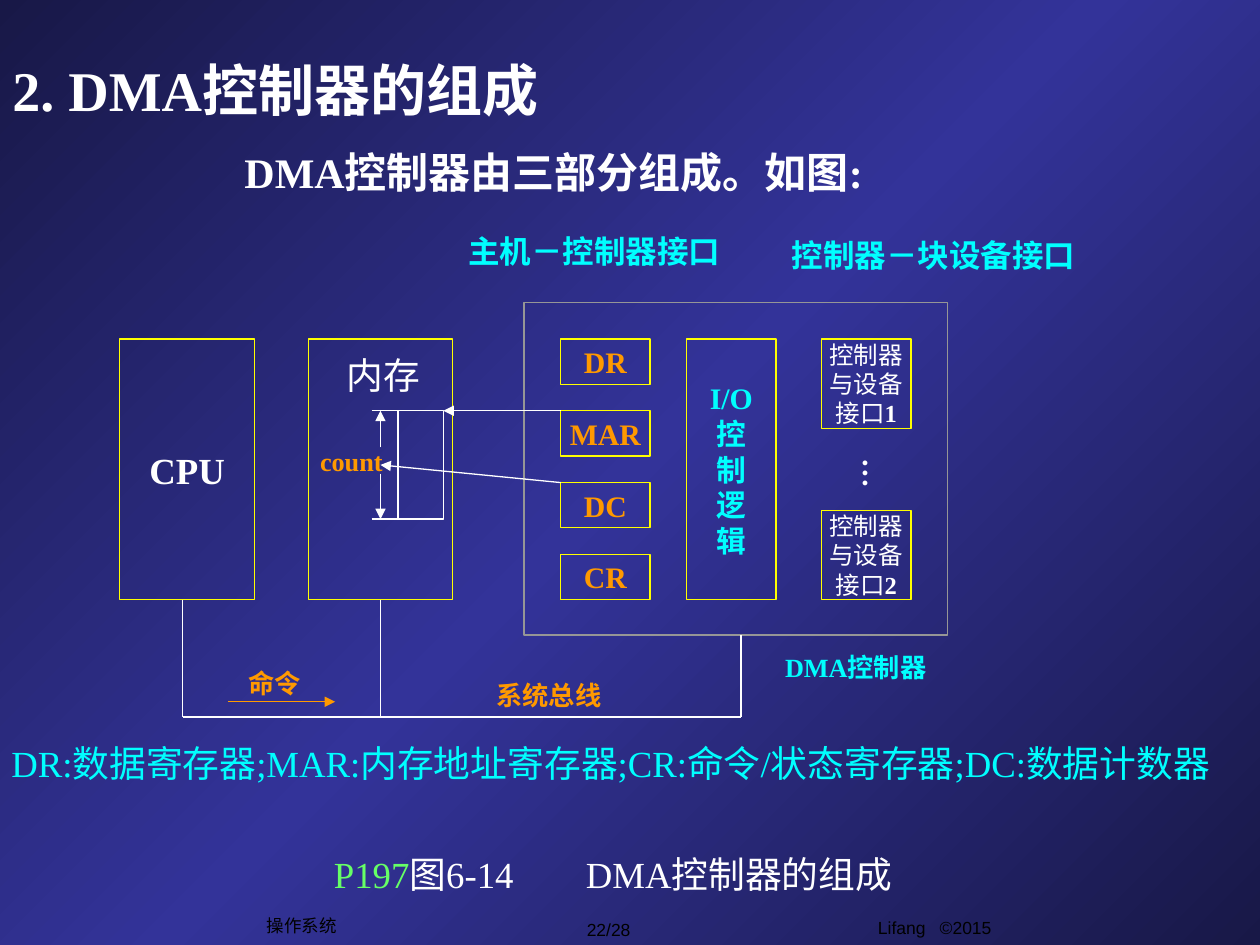
from copy import deepcopy

from pptx import Presentation
from pptx.dml.color import RGBColor
from pptx.enum.shapes import MSO_CONNECTOR as Connector, MSO_SHAPE as Shape
from pptx.enum.text import MSO_ANCHOR as Anchor, PP_ALIGN as Align
from pptx.oxml.ns import qn
from pptx.oxml.xmlchemy import OxmlElement
from pptx.util import Inches, Pt

COLORS = {"navy": "181847", "blue": "333399", "white": "FFFFFF", "black": "000000",
          "orange": "FF9900", "cyan": "00FFFF", "yellow": "FFFF00", "green": "66FF66",
          "gray": "969696"}
SERIF, SANS = "Times New Roman", "Arial"
GRADIENT = [(0, "navy"), (0.5, "blue"), (1, "navy")]

TOP, BOTTOM, BUS = 2.69, 4.76, 5.69
MAIN_HEIGHT = BOTTOM - TOP
REGISTERS = ["DR", "MAR", "DC", "CR"]
REGISTER_LEFT, REGISTER_STEP, SMALL_SIDE = 4.45, 0.57, 0.71
DEVICE_TOPS = {"1": TOP, "2": BOTTOM - SMALL_SIDE}
MEMORY_MIDDLE, BLOCK_LEFT, BLOCK_TOP, BLOCK_BOTTOM = 3.02, 3.16, 3.26, 4.12
CPU_BUS, CONTROLLER_BUS = 1.45, 5.88
LABEL_ROOM = 0.3

HEADINGS = [
    ("2. DMA控制器的组成", (0, 0.21, 8.5, 0.99), 32, "white", True, Anchor.MIDDLE, 0.1),
    ("DMA控制器由三部分组成。如图:", (1.85, 1.12, 6.82, 0.49), 24, "white", True, Anchor.TOP, 0.09),
    ("DR:数据寄存器;MAR:内存地址寄存器;CR:命令/状态寄存器;DC:数据计数器",
     (0, 5.84, 10, 0.79), 21, "cyan", False, Anchor.TOP, 0.09),
]
LABELS = [
    ("count", (2.45, 3.49, 0.67, 0.34), 15, "orange", True, Align.LEFT),
    ("内存", (2.66, 2.76, 0.76, 0.44), 21, "white", False, Align.LEFT),
    ("命令", (1.88, 5.26, 0.59, 0.34), 15, "orange", True, Align.LEFT),
    ("系统总线", (3.85, 5.35, 1.01, 0.34), 15, "orange", True, Align.LEFT),
    ("DMA控制器", (6.14, 5.13, 1.35, 0.34), 15, "cyan", True, Align.LEFT),
    ("主机－控制器接口", (3.63, 1.8, 2.17, 0.39), 18, "cyan", True, Align.CENTER),
    ("控制器－块设备接口", (6.2, 1.83, 2.42, 0.39), 18, "cyan", True, Align.CENTER),
]
FOOTERS = [
    ("操作系统", (2.02, 7.21, 0.75, 0.27)),
    ("22/28", (4.32, 7.24, 1.02, 0.27)),
]
LINES = [
    ((2.95, BLOCK_TOP), (BLOCK_LEFT, BLOCK_TOP), "white", False),
    ((2.95, BLOCK_BOTTOM), (BLOCK_LEFT, BLOCK_BOTTOM), "white", False),
    ((MEMORY_MIDDLE, 3.55), (MEMORY_MIDDLE, BLOCK_TOP), "white", True),
    ((MEMORY_MIDDLE, 3.76), (MEMORY_MIDDLE, BLOCK_BOTTOM), "white", True),
    ((REGISTER_LEFT, BLOCK_TOP), (3.52, BLOCK_TOP), "white", True),
    ((REGISTER_LEFT, 3.83), (MEMORY_MIDDLE, 3.69), "white", True),
    ((CPU_BUS, BOTTOM), (CPU_BUS, BUS), "white", False),
    ((CPU_BUS, BUS), (CONTROLLER_BUS, BUS), "white", False),
    ((CONTROLLER_BUS, 5.04), (CONTROLLER_BUS, BUS), "white", False),
    ((1.81, 5.57), (2.66, 5.57), "orange", True),
]


def rgb(name):
    return RGBColor.from_string(COLORS[name])


def style(span, size, color, bold=False, font=SERIF):
    span.font.size = Pt(size)
    span.font.color.rgb = rgb(color)
    span.font.bold = bold
    span.font.name = font


def write(box, text, size, color, bold=False, align=Align.LEFT, anchor=Anchor.TOP,
          wrap=False, font=SERIF, inset=(0.09, 0.04)):
    frame = box.text_frame
    frame.text = text
    frame.word_wrap = wrap
    frame.vertical_anchor = anchor
    frame.margin_left = frame.margin_right = Inches(inset[0])
    frame.margin_top = frame.margin_bottom = Inches(inset[1])
    for para in frame.paragraphs:
        para.alignment = align
        for span in para.runs:
            style(span, size, color, bold, font)


def add_text(page, area, text, size, color, **options):
    box = page.shapes.add_textbox(*map(Inches, area))
    write(box, text, size, color, **options)
    return box


def add_label(page, area, text, size, color, align=Align.LEFT, **options):
    left, top, width, height = area
    if align == Align.CENTER:
        left -= LABEL_ROOM / 2
    return add_text(page, (left, top, width + LABEL_ROOM, height), text, size, color,
                    align=align, wrap=True, **options)


def add_rectangle(page, area, line="yellow"):
    box = page.shapes.add_shape(Shape.RECTANGLE, *map(Inches, area))
    box.shadow.inherit = False
    box.fill.background()
    box.line.color.rgb = rgb(line)
    box.line.width = Pt(0.75)
    return box


def add_block(page, area, text, size, color, bold=True):
    box = add_rectangle(page, area)
    write(box, text, size, color, bold=bold, align=Align.CENTER, anchor=Anchor.MIDDLE)
    return box


def add_line(page, start, end, color, arrow):
    line = page.shapes.add_connector(Connector.STRAIGHT, *map(Inches, start + end))
    line.line.color.rgb = rgb(color)
    line.line.width = Pt(0.75)
    if arrow:
        head = OxmlElement("a:tailEnd")
        head.set("type", "triangle")
        line.line._get_or_add_ln().append(head)
    line._element.spPr.append(OxmlElement("a:effectLst"))
    return line


def add_tab(para, position):
    tabs = OxmlElement("a:tabLst")
    tab = OxmlElement("a:tab")
    tab.set("pos", str(Inches(position)))
    tab.set("algn", "l")
    tabs.append(tab)
    para._p.get_or_add_pPr().append(tabs)


def paint_background(page):
    fill = page.background.fill
    fill.gradient()
    fill.gradient_angle = 315
    stops = page.element.find(".//" + qn("a:gsLst"))
    stops.insert(1, deepcopy(stops[0]))
    for stop, (position, color) in zip(fill.gradient_stops, GRADIENT):
        stop.position = position
        stop.color.rgb = rgb(color)


def draw_controller(page):
    for row, name in enumerate(REGISTERS):
        area = (REGISTER_LEFT, TOP + row * REGISTER_STEP, SMALL_SIDE, 0.36)
        add_block(page, area, name, 17, "orange")
    add_block(page, (5.45, TOP, SMALL_SIDE, MAIN_HEIGHT), "I/O\n控\n制\n逻\n辑", 17, "cyan")
    for number, top in DEVICE_TOPS.items():
        box = add_block(page, (6.52, top, SMALL_SIDE, SMALL_SIDE),
                        "控制器\n与设备\n接口", 14, "white", bold=False)
        span = box.text_frame.paragraphs[-1].add_run()
        span.text = number
        style(span, 14, "white", bold=True)
    dots = add_text(page, (6.59, 3.55, SMALL_SIDE, 0.36), "…", 17, "white", bold=True,
                    align=Align.CENTER, anchor=Anchor.MIDDLE, inset=(0.04, 0.09))
    dots.text_frame._txBody.bodyPr.set("vert", "eaVert")
    add_rectangle(page, (4.16, 2.4, 3.36, 2.64), "gray")


def draw_host(page):
    add_block(page, (0.95, TOP, 1.07, MAIN_HEIGHT), "CPU", 21, "white")
    memory = add_rectangle(page, (2.45, TOP, 1.14, MAIN_HEIGHT))
    add_rectangle(page, (BLOCK_LEFT, BLOCK_TOP, 0.36, BLOCK_BOTTOM - BLOCK_TOP), "white")
    link = add_line(page, (MEMORY_MIDDLE, BOTTOM), (MEMORY_MIDDLE, BUS), "white", False)
    link.begin_connect(memory, 2)


def draw_caption(page):
    box = add_label(page, (2.56, 6.72, 4.68, 0.44), "P197", 21, "green")
    para = box.text_frame.paragraphs[0]
    add_tab(para, 2)
    span = para.add_run()
    span.text = "图6-14\tDMA控制器的组成"
    style(span, 21, "white")


def draw_footer(page):
    for text, area in FOOTERS:
        add_label(page, area, text, 10, "black", font=SANS, align=Align.CENTER,
                  anchor=Anchor.MIDDLE, inset=(0.1, 0.05))
    author = add_text(page, (6.87, 7.23, 1.3, 0.27), "Lifang\t©2015", 10, "black",
                      font=SANS, wrap=True, inset=(0.1, 0.05))
    add_tab(author.text_frame.paragraphs[0], 0.49)


def main():
    deck = Presentation()
    deck.slide_width, deck.slide_height = Inches(10), Inches(7.5)
    page = deck.slides.add_slide(deck.slide_layouts[6])
    paint_background(page)
    draw_footer(page)
    for text, area, size, color, bold, anchor, margin in HEADINGS:
        add_text(page, area, text, size, color, bold=bold, anchor=anchor, wrap=True,
                 inset=(margin, 0.04))
    draw_controller(page)
    draw_host(page)
    for start, end, color, arrow in LINES:
        add_line(page, start, end, color, arrow)
    for text, area, size, color, bold, align in LABELS:
        add_label(page, area, text, size, color, bold=bold, align=align)
    draw_caption(page)
    deck.save("out.pptx")


if __name__ == "__main__":
    main()
